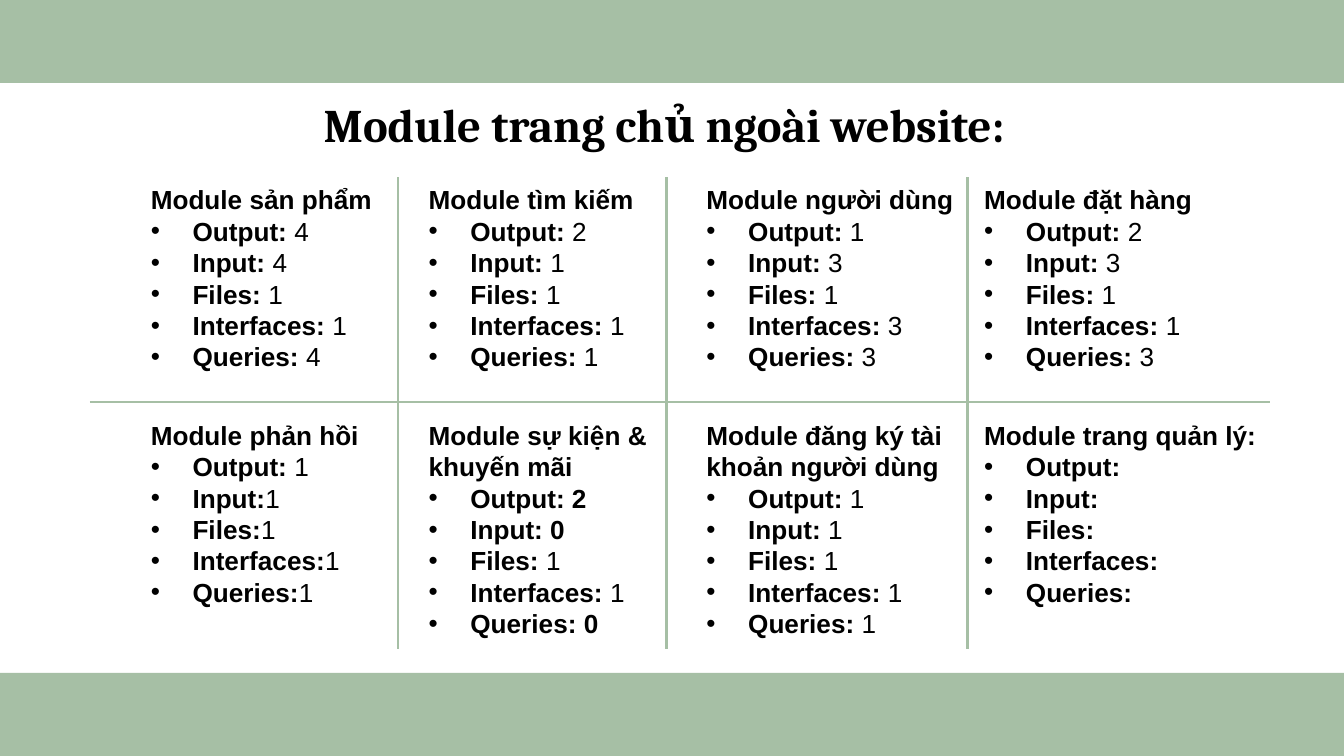
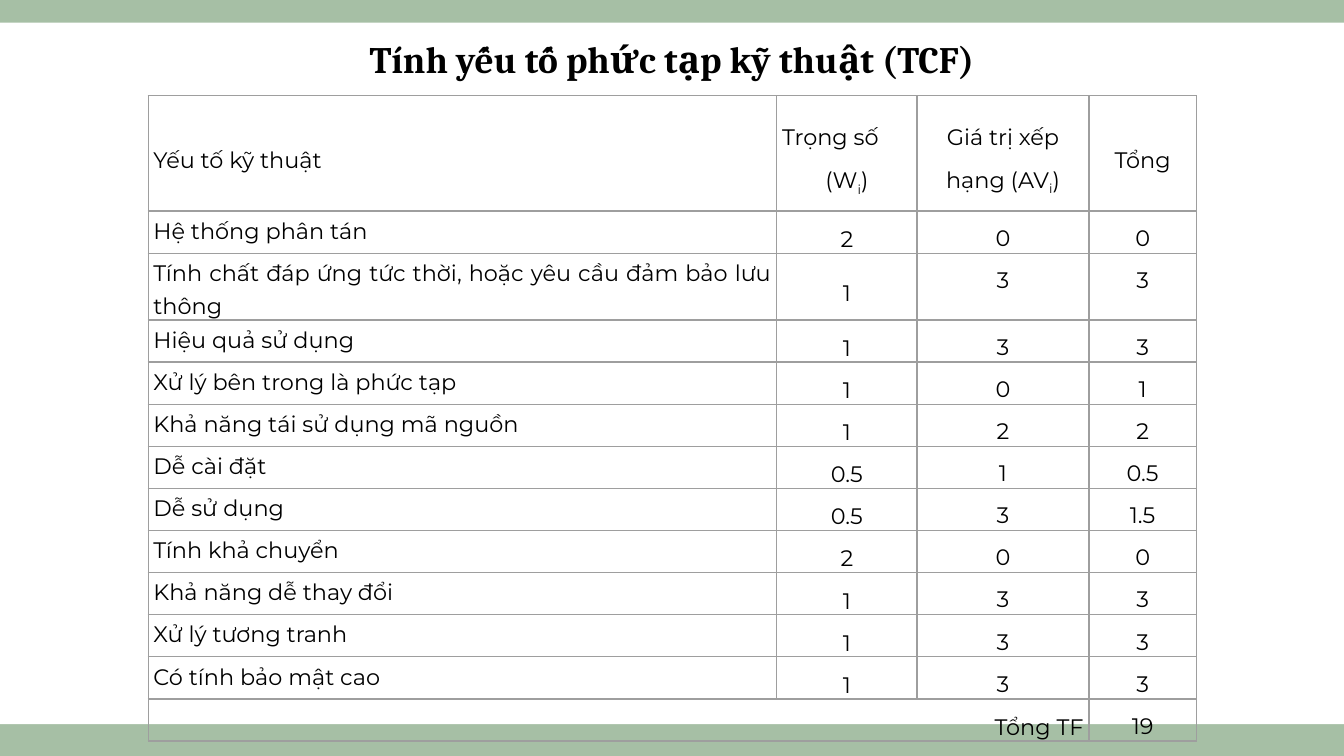
from lxml import etree
from pptx import Presentation
from pptx.dml.color import RGBColor
from pptx.enum.shapes import MSO_CONNECTOR, MSO_SHAPE
from pptx.enum.text import MSO_ANCHOR, MSO_AUTO_SIZE, PP_ALIGN
from pptx.oxml.ns import qn
from pptx.util import Cm, Pt

LEFT, CENTER, RIGHT, JUSTIFY = PP_ALIGN.LEFT, PP_ALIGN.CENTER, PP_ALIGN.RIGHT, PP_ALIGN.JUSTIFY
TOP, MIDDLE = MSO_ANCHOR.TOP, MSO_ANCHOR.MIDDLE
GROW, FIXED = MSO_AUTO_SIZE.SHAPE_TO_FIT_TEXT, MSO_AUTO_SIZE.NONE
RECTANGLE, STRAIGHT = MSO_SHAPE.RECTANGLE, MSO_CONNECTOR.STRAIGHT

COLORS = {"band": "A6BFA5", "panel": "FFFFFF", "text": "000000", "border": "9E9E9E"}
SLIDE_WIDTH, SLIDE_HEIGHT, BAND_HEIGHT = 25.4, 14.29, 1.57

# Content: "|" switches between the main and the alternate run style
MODULES_TITLE = "Module trang chủ ngoài website:"
MODULE_ROWS = [
    [  # heading, box width, counts
        ("Module sản phẩm", 4.7,
         ["Output: |4", "Input: |4", "Files: |1", "Interfaces: |1", "Queries: |4"]),
        ("Module tìm kiếm", 4.45,
         ["Output: |2", "Input: |1", "Files: |1", "Interfaces: |1", "Queries: |1"]),
        ("Module người dùng", 5.25,
         ["Output: |1", "Input: |3", "Files: |1", "Interfaces: |3", "Queries: |3"]),
        ("Module đặt hàng", 4.45,
         ["Output: |2", "Input: |3", "Files: |1", "Interfaces: |1", "Queries: |3"]),
    ],
    [
        ("Module phản hồi", 4.45,
         ["Output: |1", "Input:|1", "Files:|1", "Interfaces:|1", "Queries:|1"]),
        ("Module sự kiện & khuyến mãi", 5.5,
         ["Output: 2", "Input: 0", "Files: |1", "Interfaces: |1", "Queries: 0"]),
        ("Module đăng ký tài khoản người dùng", 5.25,
         ["Output: |1", "Input: |1", "Files: |1", "Interfaces: |1", "Queries: |1"]),
        ("Module trang quản lý:", 5.7,
         ["Output:", "Input:", "Files:", "Interfaces:", "Queries:"]),
    ],
]
DIVIDERS = [  # x1, y1, x2, y2
    *((x, 3.35, x, 12.27) for x in (7.52, 12.6, 18.29)),
    (1.7, 7.6, 24, 7.6),
]

FACTORS_TITLE = "Tính yếu tố phức tạp kỹ thuật (TCF)"
FACTOR_HEADER = ["Yếu tố kỹ thuật", "Trọng số\n(W|i|)", "Giá trị xếp hạng (AV|i|)", "Tổng"]
FACTORS = [
    ("Hệ thống phân tán", "2", "0", "0"),
    ("Tính chất đáp ứng tức thời, hoặc yêu cầu đảm bảo lưu thông", "1", "3", "3"),
    ("Hiệu quả sử dụng", "1", "3", "3"),
    ("Xử lý bên trong là phức tạp", "1", "0", "1"),
    ("Khả năng tái sử dụng mã nguồn", "1", "2", "2"),
    ("Dễ cài đặt", "0.5", "1", "0.5"),
    ("Dễ sử dụng", "0.5", "3", "1.5"),
    ("Tính khả chuyển", "2", "0", "0"),
    ("Khả năng dễ thay đổi", "1", "3", "3"),
    ("Xử lý tương tranh", "1", "3", "3"),
    ("Có tính bảo mật cao", "1", "3", "3"),
]
FACTOR_TOTAL = ("Tổng TF", "", "", "19")
COLUMN_WIDTHS = [11.88, 2.65, 3.25, 2.03]
HEADER_HEIGHT, ROW_HEIGHT, TALL_ROW_HEIGHT = 2.18, 0.79, 1.14


def color(name):
    return RGBColor.from_string(COLORS[name])


def write(frame, text, size=14, font="Arial", bold=False, align=LEFT,
          spacing=None, bullet=False, subscript=False):
    """Add one paragraph; every second "|" part is subscript or not bold."""
    paragraph = frame.add_paragraph() if frame.text else frame.paragraphs[0]
    paragraph.alignment = align
    if bullet:
        properties = paragraph._p.get_or_add_pPr()
        properties.set("marL", str(Cm(0.79)))
        properties.set("indent", str(-Cm(0.79)))
        etree.SubElement(properties, qn("a:buFont"), typeface="Arial")
        etree.SubElement(properties, qn("a:buChar"), char="•")
    if spacing:
        paragraph.line_spacing = spacing
    for index, part in enumerate(text.split("|")):
        alternate = index % 2 == 1
        run = paragraph.add_run()
        run.text = part
        run.font.size, run.font.name = Pt(size), font
        run.font.bold = bold and not alternate
        run.font.color.rgb = color("text")
        if subscript and alternate:
            run._r.get_or_add_rPr().set("baseline", "-25000")


def add_rectangle(slide, top, height, fill):
    shape = slide.shapes.add_shape(RECTANGLE, 0, Cm(top), Cm(SLIDE_WIDTH), Cm(height))
    shape.shadow.inherit = False
    shape.fill.solid()
    shape.fill.fore_color.rgb = color(fill)
    shape.line.fill.background()


def add_slide(presentation, title, left, top, size, panel=None):
    slide = presentation.slides.add_slide(presentation.slide_layouts[5])
    for band_top in (0, SLIDE_HEIGHT - BAND_HEIGHT):
        add_rectangle(slide, band_top, BAND_HEIGHT, "band")
    if panel:
        add_rectangle(slide, *panel, "panel")

    # Title, brought in front of the bands and the panel
    shape = slide.shapes.title
    shape.element.getparent().append(shape.element)
    shape.left, shape.top, shape.width, shape.height = Cm(left), Cm(top), Cm(21.7), Cm(1.78)
    frame = shape.text_frame
    frame.margin_left = frame.margin_right = frame.margin_top = frame.margin_bottom = Cm(0.25)
    frame.word_wrap, frame.auto_size, frame.vertical_anchor = True, FIXED, TOP
    write(frame, title, size=size, font="Cambria", bold=True, align=CENTER)
    return slide


def add_module(slide, left, top, heading, width, counts):
    box = slide.shapes.add_textbox(Cm(left), Cm(top), Cm(width), Cm(3.84))
    frame = box.text_frame
    frame.word_wrap, frame.auto_size = True, GROW
    write(frame, heading, bold=True)
    for count in counts:
        write(frame, count, bold=True, bullet=True)


def add_divider(slide, *ends):
    line = slide.shapes.add_connector(STRAIGHT, *(Cm(end) for end in ends))
    line.line.color.rgb = color("band")
    line.line.width = Pt(1.5)
    etree.SubElement(line.element.spPr, qn("a:effectLst"))


def add_borders(cell):
    properties = cell._tc.get_or_add_tcPr()
    for side in ("lnL", "lnR", "lnT", "lnB"):
        line = etree.SubElement(properties, qn(f"a:{side}"), w=str(Pt(0.75)))
        fill = etree.SubElement(line, qn("a:solidFill"))
        etree.SubElement(fill, qn("a:srgbClr"), val=COLORS["border"])


def fill_cell(cell, text, row, column, last_row):
    add_borders(cell)
    cell.fill.background()
    body = 0 < row < last_row
    padded = column < 2
    cell.margin_left = cell.margin_right = Cm(0.1 if padded else 0)
    cell.margin_top, cell.margin_bottom = Cm(0.02 if padded else 0), 0
    top_aligned = (body and column != 1) or (row == last_row and column == 3)
    cell.vertical_anchor = TOP if top_aligned else MIDDLE

    align, spacing = CENTER, 1.5
    if column == 0:
        align = LEFT if row == 0 else JUSTIFY if body else RIGHT
        spacing = 1.2 if body else 1.5
    lines = text.split("\n") if text else []
    for index, line in enumerate(lines):
        leading = len(lines) > 1 and index == 0
        write(cell.text_frame, line, size=12, font="Montserrat", spacing=spacing,
              align=LEFT if leading else align, subscript=True)


def add_factor_table(slide):
    rows = [FACTOR_HEADER, *FACTORS, FACTOR_TOTAL]
    last_row = len(rows) - 1
    heights = [ROW_HEIGHT] * len(rows)
    heights[0], heights[2] = HEADER_HEIGHT, TALL_ROW_HEIGHT
    table = slide.shapes.add_table(len(rows), len(COLUMN_WIDTHS), Cm(2.8), Cm(1.81),
                                   Cm(sum(COLUMN_WIDTHS)), Cm(sum(heights))).table
    table.first_row = table.horz_banding = False
    for column, width in zip(table.columns, COLUMN_WIDTHS):
        column.width = Cm(width)
    for row, height in zip(table.rows, heights):
        row.height = Cm(height)
    for row, texts in enumerate(rows):
        for column, text in enumerate(texts):
            fill_cell(table.cell(row, column), text, row, column, last_row)
    table.cell(last_row, 0).merge(table.cell(last_row, 2))


def main():
    presentation = Presentation()
    presentation.slide_width, presentation.slide_height = Cm(SLIDE_WIDTH), Cm(SLIDE_HEIGHT)

    # Modules in a grid of four by two
    slide = add_slide(presentation, MODULES_TITLE, left=1.7, top=1.57, size=25)
    for row, modules in enumerate(MODULE_ROWS):
        for column, module in enumerate(modules):
            add_module(slide, 2.6 + 5.25 * column, 3.35 + 4.45 * row, *module)
    for divider in DIVIDERS:
        add_divider(slide, *divider)

    # Technical complexity factors
    slide = add_slide(presentation, FACTORS_TITLE, left=1.85, top=0.43, size=20,
                      panel=(0.43, 13.26))
    add_factor_table(slide)

    presentation.save("out.pptx")


if __name__ == "__main__":
    main()
